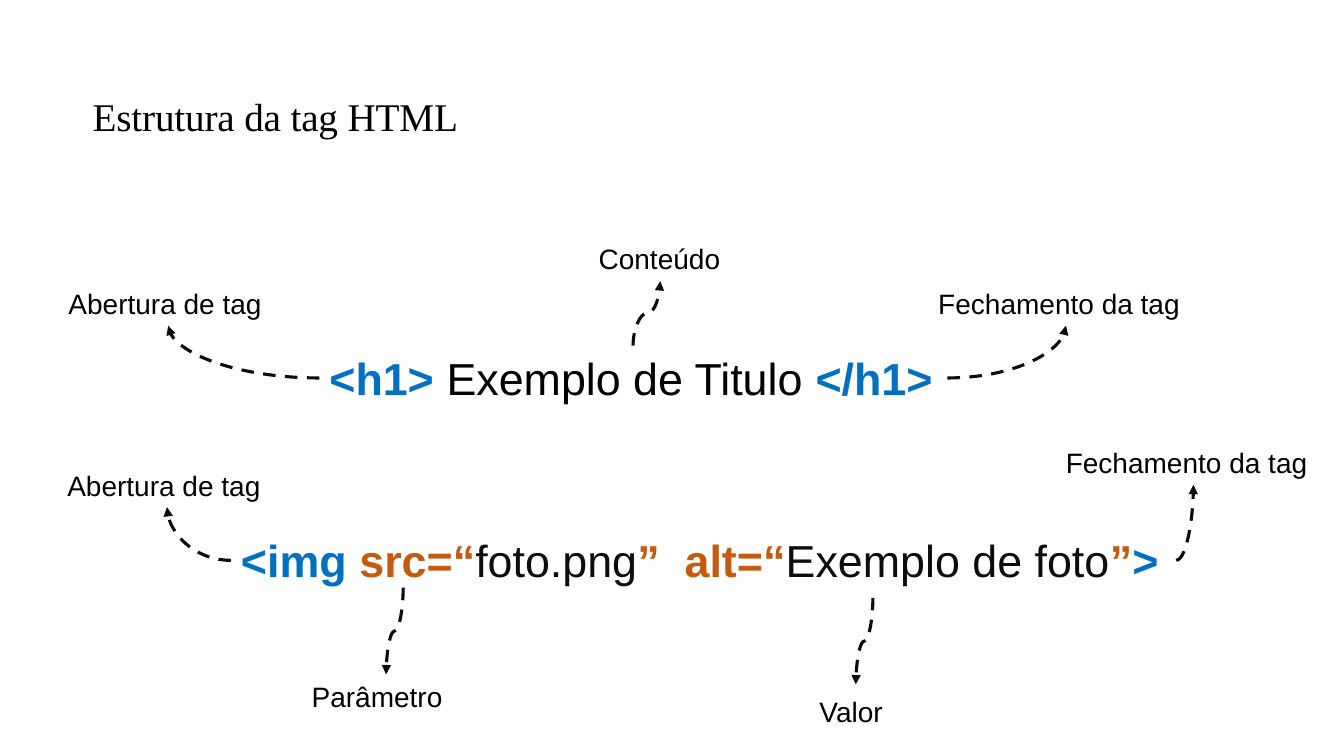
from pptx import Presentation
from pptx.dml.color import RGBColor
from pptx.enum.dml import MSO_LINE
from pptx.enum.shapes import MSO_CONNECTOR
from pptx.enum.text import MSO_ANCHOR, MSO_AUTO_SIZE as AUTO_SIZE, PP_ALIGN
from pptx.oxml.ns import qn
from pptx.util import Pt
from lxml.etree import SubElement

BLACK, INK, BLUE, ORANGE = "000000", "0D0D0D", "0070C0", "C55A11"


def style(span, size, color, bold=False, font="Arial"):
    span.font.name = font
    span.font.size = Pt(size)
    span.font.bold = bold
    span.font.color.rgb = RGBColor.from_string(color)


def add_text(left, top, width, height, size, spans, wrap=True):
    box = page.shapes.add_textbox(Pt(left), Pt(top), Pt(width), Pt(height))
    box.text_frame.word_wrap = wrap
    box.text_frame.auto_size = AUTO_SIZE.SHAPE_TO_FIT_TEXT
    para = box.text_frame.paragraphs[0]
    for text, color, bold in spans:
        span = para.add_run()
        span.text = text
        style(span, size, color, bold)


deck = Presentation()
deck.slide_width, deck.slide_height = Pt(960), Pt(540)
page = deck.slides.add_slide(deck.slide_layouts[5])

# Title
title = page.shapes.title
title.left, title.top, title.width, title.height = Pt(59), Pt(67), Pt(741), Pt(35.3)
frame = title.text_frame
frame.text = "Estrutura da tag HTML"
frame.auto_size = AUTO_SIZE.NONE
frame.vertical_anchor = MSO_ANCHOR.MIDDLE
para = frame.paragraphs[0]
para.alignment = PP_ALIGN.LEFT
para.line_spacing = 0.9
style(para.runs[0], 28, BLACK, font="Times New Roman")
para.runs[0].font._element.set("spc", "-10")

# Code lines
add_text(228.2, 247, 448.6, 46, 32, [
    ("<h1> ", BLUE, True),
    ("Exemplo de Titulo ", BLACK, False),
    ("</h1>", BLUE, True),
], wrap=False)
add_text(165, 377.3, 675, 46, 32, [
    ("<img ", BLUE, True),
    ("src=“", ORANGE, True),
    ("foto.png", INK, False),
    ("”  alt=“", ORANGE, True),
    ("Exemplo de foto", INK, False),
    ("”", ORANGE, True),
    (">", BLUE, True),
], wrap=False)

# Labels: text, left, top, width
labels = [
    ("Abertura de tag", 41.8, 201, 156),
    ("Conteúdo", 420.5, 169.2, 101.5),
    ("Fechamento da tag", 663.1, 201, 196.6),
    ("Abertura de tag", 41, 330.8, 156),
    ("Fechamento da tag", 754.2, 315, 196.6),
    ("Parâmetro", 215.5, 481.7, 113.8),
    ("Valor", 578.2, 492.5, 66.2),
]
for text, left, top, width in labels:
    add_text(left, top, width, 31.5, 20, [(text, BLACK, False)])

# Dashed arrows: start, end, whether S-shaped (otherwise a quarter bend)
arrows = [
    ((228.2, 270), (120.2, 232.6), False),
    ((452.2, 247), (471.6, 200.9), True),
    ((676.8, 270), (761.5, 232.6), False),
    ((165, 400.3), (119.3, 362.2), False),
    ((840.2, 400.3), (852.5, 346.3), False),
    ((288, 419.8), (275.8, 481.7), True),
    ((623.5, 427), (611.3, 488.9), True),
]
for (x1, y1), (x2, y2), s_shaped in arrows:
    if s_shaped:
        # Swap the axes about the centre; the quarter turn below restores them
        mid_x, mid_y = (x1 + x2) / 2, (y1 + y2) / 2
        x1, y1, x2, y2 = (mid_x + y1 - mid_y, mid_y - x1 + mid_x,
                          mid_x + y2 - mid_y, mid_y - x2 + mid_x)
    arrow = page.shapes.add_connector(MSO_CONNECTOR.CURVE, Pt(x1), Pt(y1), Pt(x2), Pt(y2))
    arrow.line.color.rgb = RGBColor.from_string(INK)
    arrow.line.width = Pt(2.25)
    arrow.line.dash_style = MSO_LINE.DASH
    properties = arrow._element.spPr
    if s_shaped:
        properties.find(qn("a:xfrm")).set("rot", "5400000")
    else:
        properties.find(qn("a:prstGeom")).set("prst", "curvedConnector2")
    SubElement(properties.find(qn("a:ln")), qn("a:tailEnd"), type="triangle")
    SubElement(properties, qn("a:effectLst"))

deck.save("out.pptx")
